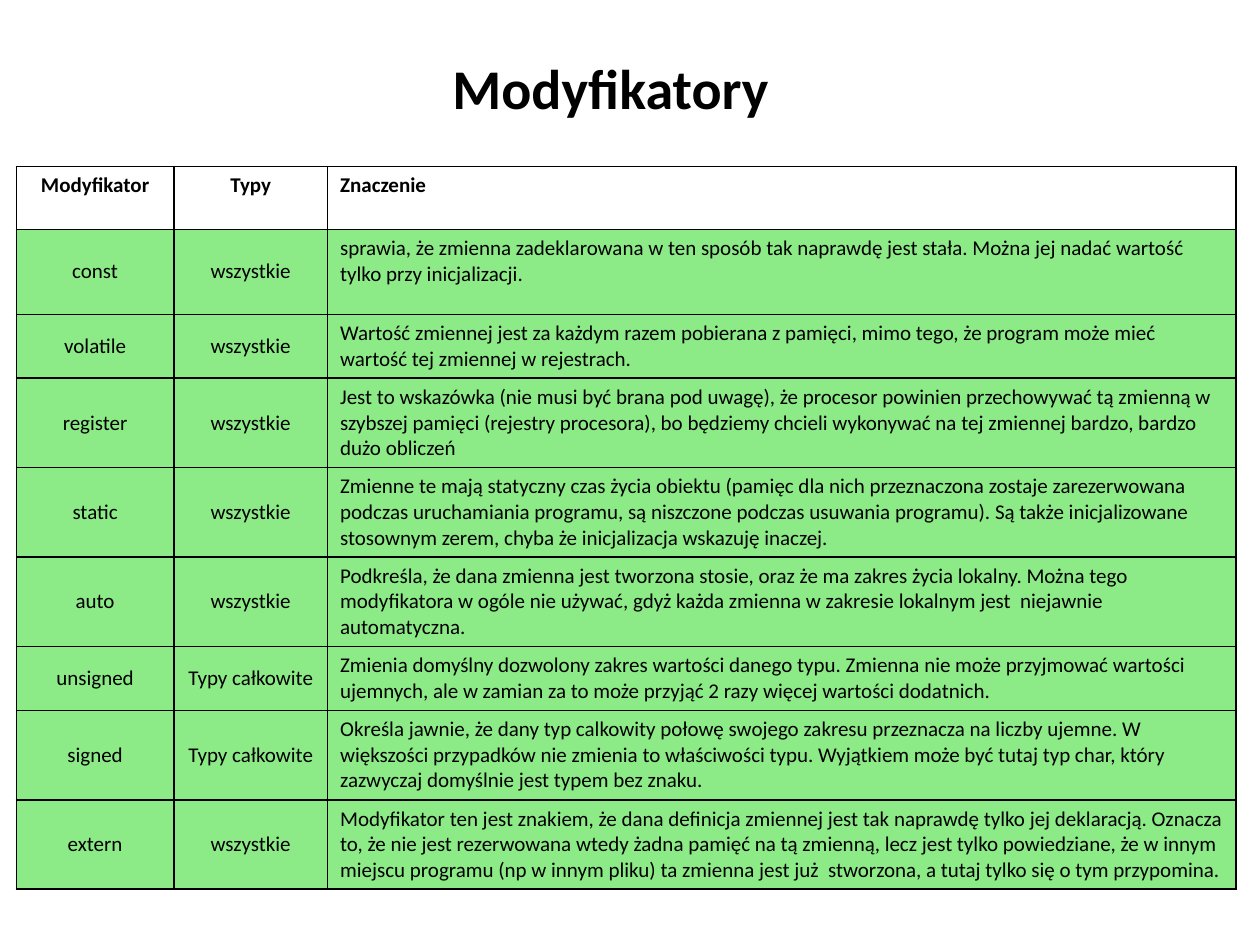
import pptx
import pptx.util
import pptx.dml.color
import pptx.enum.text
import pptx.oxml.ns
import lxml.etree

BLACK = pptx.dml.color.RGBColor(0x00, 0x00, 0x00)
WHITE = pptx.dml.color.RGBColor(0xFF, 0xFF, 0xFF)
GREEN = pptx.dml.color.RGBColor(0x8C, 0xEB, 0x87)
FONT = "Calibri"
ALL = "wszystkie"
WHOLE = "Typy całkowite"
SHARES = (1.25, 1.22, 7.21)
ROW = 1 / 15
TALL = 0.09

HEAD = ("Modyfikator", "Typy", "Znaczenie")
BODY = (
    ("const", ALL,
     "sprawia, że zmienna zadeklarowana w ten sposób tak naprawdę jest stała. "
     "Można jej nadać wartość tylko przy inicjalizacji."),
    ("volatile", ALL,
     "Wartość zmiennej jest za każdym razem pobierana z pamięci, mimo tego, "
     "że program może mieć wartość tej zmiennej w rejestrach."),
    ("register", ALL,
     "Jest to wskazówka (nie musi być brana pod uwagę), że procesor powinien "
     "przechowywać tą zmienną w szybszej pamięci (rejestry procesora), bo "
     "będziemy chcieli wykonywać na tej zmiennej bardzo, bardzo dużo obliczeń"),
    ("static", ALL,
     "Zmienne te mają statyczny czas życia obiektu (pamięc dla nich "
     "przeznaczona zostaje zarezerwowana podczas uruchamiania programu, są "
     "niszczone podczas usuwania programu). Są także inicjalizowane "
     "stosownym zerem, chyba że inicjalizacja wskazuję inaczej."),
    ("auto", ALL,
     "Podkreśla, że dana zmienna jest tworzona stosie, oraz że ma zakres "
     "życia lokalny. Można tego modyfikatora w ogóle nie używać, gdyż każda "
     "zmienna w zakresie lokalnym jest  niejawnie automatyczna."),
    ("unsigned", WHOLE,
     "Zmienia domyślny dozwolony zakres wartości danego typu. Zmienna nie "
     "może przyjmować wartości ujemnych, ale w zamian za to może przyjąć 2 "
     "razy więcej wartości dodatnich."),
    ("signed", WHOLE,
     "Określa jawnie, że dany typ calkowity połowę swojego zakresu "
     "przeznacza na liczby ujemne. W większości przypadków nie zmienia to "
     "właściwości typu. Wyjątkiem może być tutaj typ char, który zazwyczaj "
     "domyślnie jest typem bez znaku."),
    ("extern", ALL,
     "Modyfikator ten jest znakiem, że dana definicja zmiennej jest tak "
     "naprawdę tylko jej deklaracją. Oznacza to, że nie jest rezerwowana "
     "wtedy żadna pamięć na tą zmienną, lecz jest tylko powiedziane, że w "
     "innym miejscu programu (np w innym pliku) ta zmienna jest już  "
     "stworzona, a tutaj tylko się o tym przypomina."),
)


def scale(deck, left, top, width, height):
    wide, high = deck.slide_width, deck.slide_height
    return (int(left * wide), int(top * high),
            int(width * wide), int(height * high))


def style(frame, size, bold, center):
    align = pptx.enum.text.PP_ALIGN
    for para in frame.paragraphs:
        para.alignment = align.CENTER if center else align.LEFT
        for run in para.runs:
            run.font.name = FONT
            run.font.size = pptx.util.Pt(size)
            run.font.bold = bold
            run.font.color.rgb = BLACK


def edge(cell):
    qn = pptx.oxml.ns.qn
    props = cell._tc.get_or_add_tcPr()
    for spot, side in enumerate(("lnL", "lnR", "lnT", "lnB")):
        line = lxml.etree.Element(qn(f"a:{side}"), w=str(pptx.util.Pt(1)))
        fill = lxml.etree.SubElement(line, qn("a:solidFill"))
        lxml.etree.SubElement(fill, qn("a:srgbClr"), val=str(BLACK))
        props.insert(spot, line)


def add_title(slide, box):
    shape = slide.shapes.add_textbox(*box)
    frame = shape.text_frame
    frame.word_wrap = True
    frame.auto_size = pptx.enum.text.MSO_AUTO_SIZE.SHAPE_TO_FIT_TEXT
    frame.text = "Modyfikatory"
    style(frame, 32, True, True)


def add_grid(slide, box, high):
    data = (HEAD,) + BODY
    shape = slide.shapes.add_table(len(data), len(HEAD), *box)
    table = shape.table
    table.horz_banding = False
    for col, share in zip(table.columns, SHARES):
        col.width = int(box[2] * share / sum(SHARES))
    for r, texts in enumerate(data):
        table.rows[r].height = int(high * (TALL if r == 1 else ROW))
        for c, text in enumerate(texts):
            cell = table.cell(r, c)
            cell.text_frame.text = text
            cell.fill.solid()
            cell.fill.fore_color.rgb = GREEN if r else WHITE
            anchor = pptx.enum.text.MSO_ANCHOR
            cell.vertical_anchor = anchor.MIDDLE if r and c < 2 else anchor.TOP
            style(cell.text_frame, 12, r == 0, c < 2)
            edge(cell)
    shape.height = box[3]


def main():
    deck = pptx.Presentation()
    deck.slide_width = pptx.util.Inches(10)
    deck.slide_height = pptx.util.Inches(7.5)
    slide = deck.slides.add_slide(deck.slide_layouts[6])
    add_grid(slide, scale(deck, 0.013, 0.176, 0.968, 0.783), deck.slide_height)
    add_title(slide, scale(deck, 0.289, 0.05, 0.391, 0.085))
    deck.save("out.pptx")


if __name__ == "__main__":
    main()
